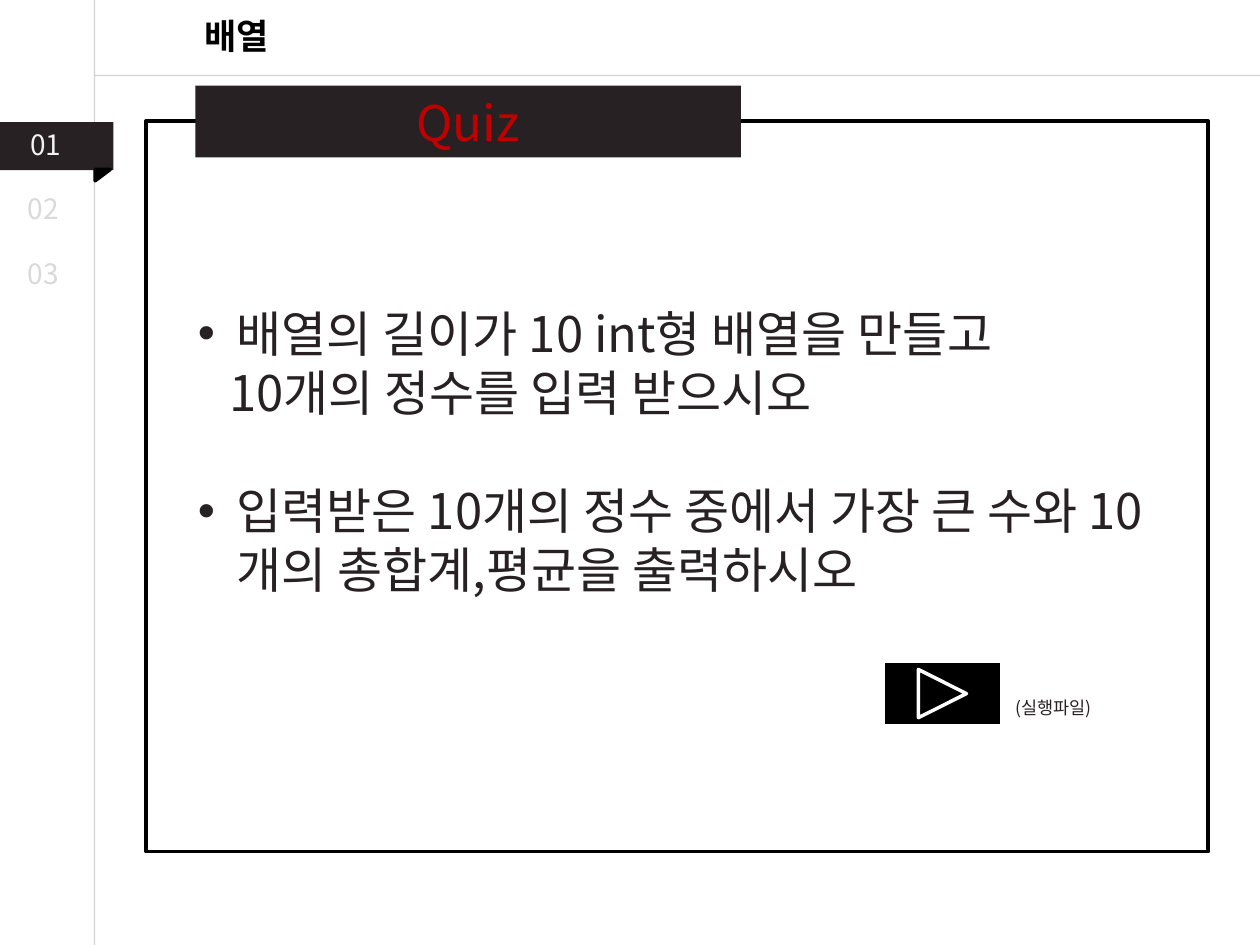
from pptx import Presentation
from pptx.dml.color import RGBColor
from pptx.enum.shapes import MSO_CONNECTOR, MSO_SHAPE as SHAPE
from pptx.enum.text import MSO_ANCHOR as ANCHOR, MSO_AUTO_SIZE as AUTO, PP_ALIGN as ALIGN
from pptx.oxml.ns import qn
from pptx.util import Inches, Pt
from lxml.etree import SubElement

FONT = "Noto Sans CJK KR"
COLORS = {"ink": "272123", "black": "000000", "white": "FFFFFF", "quiz": "C00000",
          "active": "F2F2F2", "muted": "D9D9D9", "rule": "A6A6A6"}
TITLE = "배열"
QUIZ = "Quiz"
RUN_LABEL = "(실행파일)"
CHAPTERS = [("01", "active", 0.14, 0.96), ("02", "muted", 0.12, 1.47), ("03", "muted", 0.12, 1.99)]
TASKS = [
    ("배열의 길이가 10 int형 배열을 만들고", True, 0),
    ("10개의 정수를 입력 받으시오", False, 0),
    ("입력받은 10개의 정수 중에서 가장 큰 수와 10개의 총합계,평균을 출력하시오", True, 34),
]
WIDTH, HEIGHT = 10, 7.5
RAIL_X, HEADER_Y = 0.75, 0.6
BULLET_INDENT, PLAIN_INDENT = 0.31, 0.25


def rgb(name):
    return RGBColor.from_string(COLORS[name])


def place(item, left, top, width, height):
    item.left, item.top, item.width, item.height = map(Inches, (left, top, width, height))


def style(paragraph, size, color, bold=False, align=ALIGN.LEFT):
    paragraph.alignment = align
    for run in paragraph.runs:
        run.font.size, run.font.bold, run.font.name = Pt(size), bold, FONT
        run.font.color.rgb = rgb(color)
        SubElement(run.font._element, qn("a:ea"), typeface=FONT)


def add_block(kind, box, fill=None, line=None):
    block = slide.shapes.add_shape(kind, *map(Inches, box))
    block.shadow.inherit = False
    if fill:
        block.fill.solid()
        block.fill.fore_color.rgb = rgb(fill)
    else:
        block.fill.background()
    if line:
        block.line.color.rgb = rgb(line)
        block.line.width = Pt(2)
    else:
        block.line.fill.background()
    return block


def add_label(text, box, size, color):
    frame = slide.shapes.add_textbox(*map(Inches, box)).text_frame
    frame.word_wrap = True
    frame.auto_size = AUTO.SHAPE_TO_FIT_TEXT
    frame.text = text
    style(frame.paragraphs[0], size, color)


def add_rule(*ends):
    rule = slide.shapes.add_connector(MSO_CONNECTOR.STRAIGHT, *map(Inches, ends))
    rule.line.color.rgb = rgb("rule")
    rule.line.width = Pt(0.75)
    properties = rule._element.spPr
    SubElement(next(properties.iter(qn("a:srgbClr"))), qn("a:alpha"), val="50000")
    SubElement(properties, qn("a:effectLst"))


deck = Presentation()
deck.slide_width, deck.slide_height = Inches(WIDTH), Inches(HEIGHT)
slide = deck.slides.add_slide(deck.slide_layouts[1])
title, tasks = slide.placeholders

place(title, 0.81, 0.06, 2.14, 0.44)
title.text_frame.text = TITLE
title.text_frame.auto_size = AUTO.NONE
style(title.text_frame.paragraphs[0], 20, "black", bold=True, align=ALIGN.CENTER)

place(tasks, 1.47, 2.36, 8.01, 2.46)
tasks.text_frame.text = "\n".join(text for text, _, _ in TASKS)
tasks.text_frame.auto_size = AUTO.NONE
for paragraph, (_, bulleted, gap) in zip(tasks.text_frame.paragraphs, TASKS):
    style(paragraph, 28, "ink")
    paragraph.space_before = Pt(gap)
    indent = Inches(BULLET_INDENT if bulleted else PLAIN_INDENT)
    properties = paragraph._p.get_or_add_pPr()
    properties.set("marL", str(indent))
    properties.set("indent", str(-indent if bulleted else 0))
    if bulleted:
        SubElement(properties, qn("a:buFont"), typeface="Arial")
        SubElement(properties, qn("a:buChar"), char="•")
    else:
        SubElement(properties, qn("a:buNone"))

add_rule(RAIL_X, 0, RAIL_X, HEIGHT)
add_rule(RAIL_X, HEADER_Y, WIDTH, HEADER_Y)
add_block(SHAPE.RECTANGLE, (0, 0.97, 0.9, 0.38), fill="ink")
fold = add_block(SHAPE.RIGHT_TRIANGLE, (0.77, 1.33, 0.09, 0.12), fill="black", line="black")
fold.rotation = 90
for number, color, left, top in CHAPTERS:
    add_label(number, (left, top, 0.55, 0.37), 16, color)

add_block(SHAPE.RECTANGLE, (1.16, 0.96, 8.43, 5.8), line="black")
banner = add_block(SHAPE.RECTANGLE, (1.55, 0.68, 4.33, 0.57), fill="ink")
banner.text_frame.text = QUIZ
banner.text_frame.vertical_anchor = ANCHOR.MIDDLE
style(banner.text_frame.paragraphs[0], 28, "quiz", align=ALIGN.CENTER)

add_block(SHAPE.ACTION_BUTTON_FORWARD_OR_NEXT, (7.01, 5.25, 0.94, 0.51), fill="black", line="white")
add_label(RUN_LABEL, (7.96, 5.48, 0.86, 0.27), 10, "ink")

deck.save("out.pptx")
